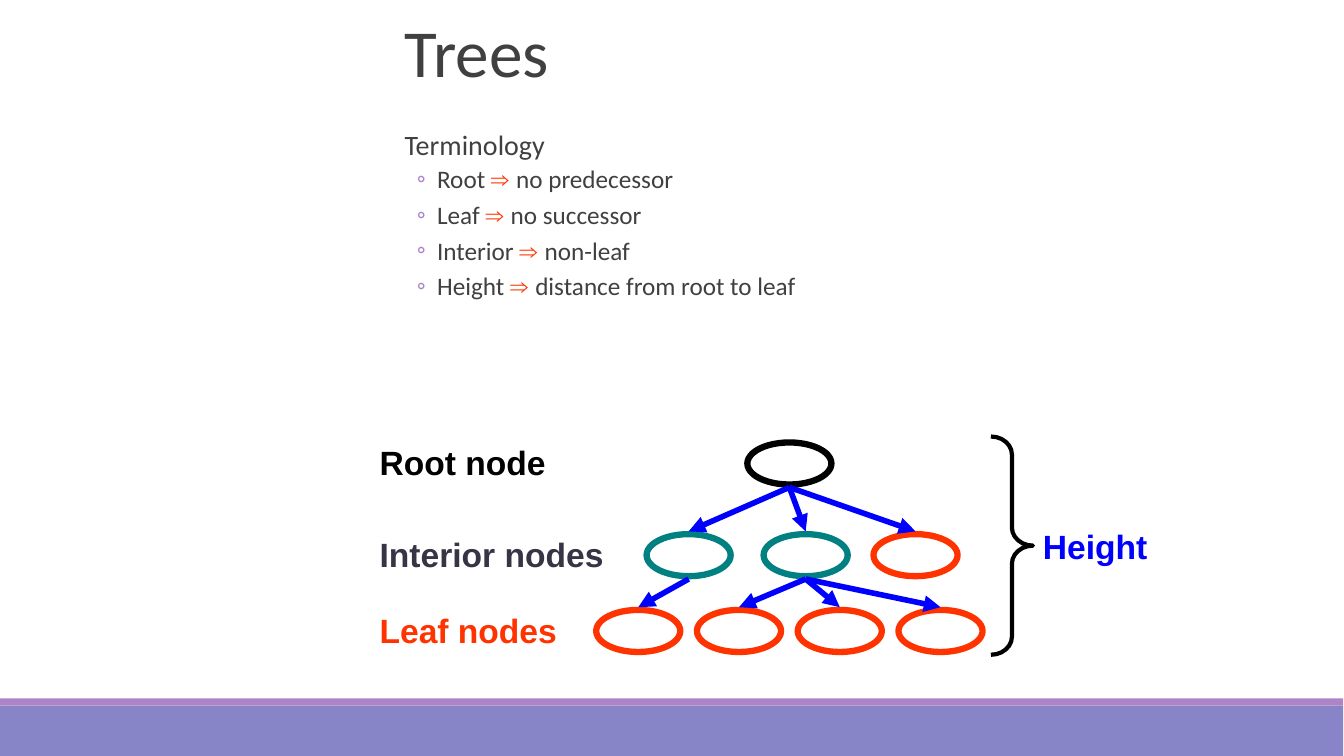
from lxml import etree
from pptx import Presentation
from pptx.dml.color import RGBColor
from pptx.enum.shapes import MSO_CONNECTOR, MSO_SHAPE
from pptx.enum.text import MSO_ANCHOR
from pptx.oxml.ns import qn
from pptx.util import Cm, Pt

RECT, OVAL, BRACE = MSO_SHAPE.RECTANGLE, MSO_SHAPE.OVAL, MSO_SHAPE.RIGHT_BRACE
STRAIGHT = MSO_CONNECTOR.STRAIGHT
BOTTOM = MSO_ANCHOR.BOTTOM

BLACK, TEAL, RED, BLUE = "000000", "008080", "FF3300", "0000FF"
TEXT, DARK, PURPLE, LILAC = "404040", "373545", "8784C7", "AD84C6"

NODE_W, NODE_H = 2.12, 1.06
LEAF_PITCH = 2.54
ARROW_GAP = 0.07
LABEL_H = 1.27

TERMS = [
    ("Root ", "no predecessor"),
    ("Leaf ", "no successor"),
    ("Interior ", "non-leaf"),
    ("Height ", "distance from root to leaf"),
]
LEVELS = [
    ("Root node", BLACK, 0, [(3.81, BLACK)]),
    ("Interior nodes", DARK, 2.31, [(1.27, TEAL), (4.22, TEAL), (6.99, RED)]),
    ("Leaf nodes", RED, 4.22, [(i * LEAF_PITCH, RED) for i in range(4)]),
]
EDGES = [
    (0, 0, [0, 1, 2]),
    (1, 0, [0]),
    (1, 1, [1, 2, 3]),
]


def rgb(value):
    """Turn a hex string into a colour."""
    return RGBColor.from_string(value)


def add_run(p, text, size, color, font="Calibri", bold=False):
    """Append one formatted run to a paragraph."""
    r = p.add_run()
    r.text = text
    r.font.size = Pt(size)
    r.font.name = font
    r.font.bold = bold
    r.font.color.rgb = rgb(color)


def add_textbox(s, left, top, width, height, wrap=True):
    """Add a text box and return its text frame."""
    tf = s.shapes.add_textbox(Cm(left), Cm(top), Cm(width), Cm(height)).text_frame
    tf.word_wrap = wrap
    return tf


def add_figure(s, kind, left, top, width, height, fill=None, line=None, weight=0):
    """Add a preset shape with an optional fill and outline."""
    sp = s.shapes.add_shape(kind, Cm(left), Cm(top), Cm(width), Cm(height))
    sp.shadow.inherit = False
    if fill:
        sp.fill.solid()
        sp.fill.fore_color.rgb = rgb(fill)
    else:
        sp.fill.background()
    if line:
        sp.line.color.rgb = rgb(line)
        sp.line.width = Pt(weight)
    else:
        sp.line.fill.background()
    return sp


def add_arrow(s, x1, y1, x2, y2):
    """Draw a blue arrow from a parent to a child."""
    c = s.shapes.add_connector(STRAIGHT, Cm(x1), Cm(y1), Cm(x2), Cm(y2))
    c.line.color.rgb = rgb(BLUE)
    c.line.width = Pt(4)
    etree.SubElement(c.line._get_or_add_ln(), qn("a:tailEnd"), type="triangle")
    etree.SubElement(c._element.spPr, qn("a:effectLst"))


def add_label(s, left, top, width, text, color):
    """Add a bold one-line label."""
    tf = add_textbox(s, left, top, width, LABEL_H, wrap=False)
    add_run(tf.paragraphs[0], text, 24, color, "Arial", True)


def set_bullet(p, char):
    """Give a paragraph a hanging lilac bullet."""
    pPr = p._p.get_or_add_pPr()
    pPr.set("marL", str(Cm(1.07)))
    pPr.set("indent", str(-Cm(0.51)))
    color = etree.SubElement(pPr, qn("a:buClr"))
    etree.SubElement(color, qn("a:srgbClr"), val=LILAC)
    etree.SubElement(pPr, qn("a:buFont"), typeface="Calibri")
    etree.SubElement(pPr, qn("a:buChar"), char=char)


def draw_footer(s, left, top, width):
    """Draw the two-tone band along the bottom edge."""
    add_figure(s, RECT, left, top + 0.18, width, 1.27, PURPLE)
    add_figure(s, RECT, left, top, width, 0.18, LILAC)


def draw_title(s, left, top, width, height):
    """Write the slide title."""
    tf = add_textbox(s, left, top, width, height)
    tf.vertical_anchor = BOTTOM
    p = tf.paragraphs[0]
    p.line_spacing = 0.85
    add_run(p, "Trees", 48, TEXT)


def draw_terms(s, left, top, width, height):
    """Write the terminology list."""
    tf = add_textbox(s, left, top, width, height)
    tf.margin_left = tf.margin_right = 0
    p = tf.paragraphs[0]
    p._p.get_or_add_pPr().set("marL", str(Cm(0.25)))
    p.line_spacing = 0.9
    p.space_after = Pt(2)
    add_run(p, "Terminology", 20, TEXT)
    for term, meaning in TERMS:
        p = tf.add_paragraph()
        p.level = 1
        p.line_spacing = 0.9
        p.space_before, p.space_after = Pt(2), Pt(4)
        set_bullet(p, "◦")
        add_run(p, term, 18, TEXT)
        add_run(p, "⇒ ", 18, RED, "Arial")
        add_run(p, meaning, 18, TEXT)


def draw_tree(s, left, top, label_left):
    """Draw the tree with its level labels and edges."""
    for text, color, dy, nodes in LEVELS:
        label_top = top + dy + (NODE_H - LABEL_H) / 2 - 0.03
        add_label(s, label_left, label_top, 6.5, text, color)
        for dx, outline in nodes:
            add_figure(s, OVAL, left + dx, top + dy, NODE_W, NODE_H,
                       line=outline, weight=4.5)
    for level, parent, children in EDGES:
        _, _, dy, nodes = LEVELS[level]
        _, _, child_dy, child_nodes = LEVELS[level + 1]
        mid = left + NODE_W / 2
        for child in children:
            add_arrow(s, mid + nodes[parent][0], top + dy + NODE_H + ARROW_GAP,
                      mid + child_nodes[child][0], top + child_dy - ARROW_GAP)


def draw_height(s, left, top, width, height):
    """Draw the brace that marks the height of the tree."""
    brace = add_figure(s, BRACE, left, top, width, height, line=BLACK, weight=3)
    brace.adjustments[0] = 0.43
    brace.adjustments[1] = 0.5
    add_label(s, left + width, top + (height - LABEL_H) / 2, 4, "Height", BLUE)


def main():
    """Build the slide and save it."""
    prs = Presentation()
    prs.slide_width, prs.slide_height = Cm(33.88), Cm(19.05)
    s = prs.slides.add_slide(prs.slide_layouts[6])
    draw_footer(s, 0, 17.6, 33.86)
    draw_title(s, 9.95, 0.42, 23.92, 2.01)
    draw_terms(s, 9.95, 3.18, 23.92, 14.8)
    draw_tree(s, 15.03, 11.15, 9.32)
    draw_height(s, 24.98, 11, 1.06, 5.5)
    prs.save("out.pptx")


if __name__ == "__main__":
    main()
